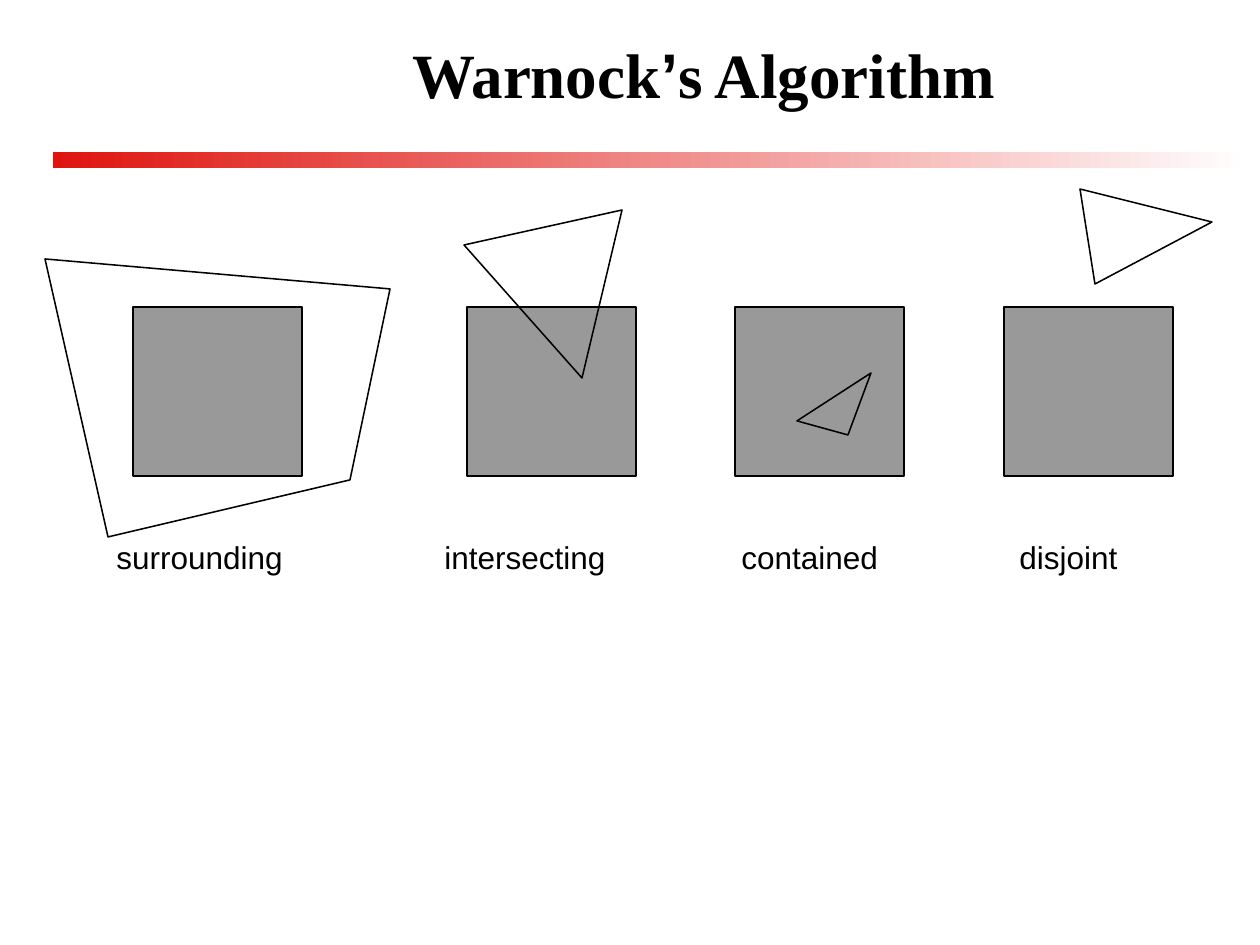
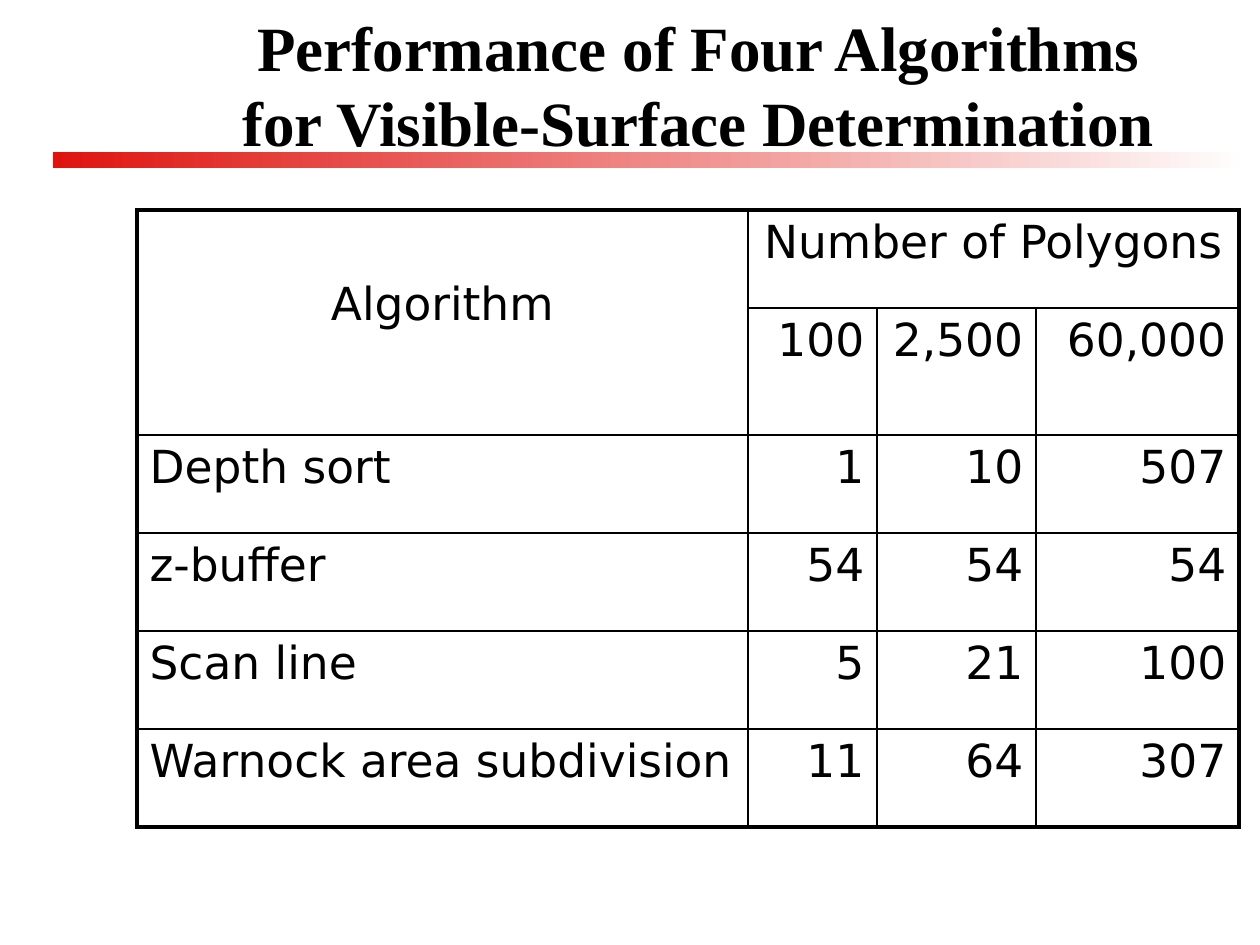
from pptx import Presentation
from pptx.dml.color import RGBColor
from pptx.enum.shapes import MSO_SHAPE as Shape
from pptx.enum.text import MSO_ANCHOR as Anchor, PP_ALIGN as Align
from pptx.oxml import parse_xml
from pptx.oxml.ns import nsdecls, qn
from pptx.util import Pt

EMU_PER_PX = 914400 / 126
BLACK = RGBColor(0x00, 0x00, 0x00)
WHITE = RGBColor(0xFF, 0xFF, 0xFF)
RED = RGBColor(0xDF, 0x14, 0x0F)
GREY = RGBColor(0x99, 0x99, 0x99)
LABEL_FORMAT = {"name": "Arial", "size": Pt(18)}
CELL_FORMAT = {"name": "DejaVu Sans", "size": Pt(26)}
THIN, THICK = Pt(1), Pt(2.25)


def px(*lengths):
    return [round(length * EMU_PER_PX) for length in lengths]


def apply_format(target, values):
    for attribute, value in values.items():
        setattr(target, attribute, value)


prs = Presentation()
prs.slide_width, prs.slide_height = px(1260, 945)

title_style = prs.slide_master.element.find(
    ".//" + qn("p:titleStyle") + "/" + qn("a:lvl1pPr") + "/" + qn("a:defRPr"))
title_style.set("sz", "3600")
title_style.set("b", "1")
title_style.find(qn("a:latin")).set("typeface", "Times New Roman")

layout = prs.slide_layouts[5]
for footer in list(layout.placeholders)[1:]:
    layout.shapes.element.remove(footer.element)

warnock = prs.slides.add_slide(layout)
performance = prs.slides.add_slide(layout)

for band_top in (152, 158):
    band = warnock.shapes.add_shape(Shape.RECTANGLE, *px(53, band_top, 1197, 10))
    band.shadow.inherit = False
    band.line.fill.background()
    band.fill.gradient()
    band.fill.gradient_angle = 0
    for stop, color in zip(band.fill.gradient_stops, (RED, WHITE)):
        stop.color.rgb = color
    layout.shapes.element.append(band.element)

titles = (
    (warnock, (147, 21, 1113, 105), "Warnock’s Algorithm"),
    (performance, (158, 0, 1081, 168),
     "Performance of Four Algorithms\vfor Visible-Surface Determination"),
)
for slide, box, wording in titles:
    title = slide.shapes.title
    apply_format(title, dict(zip(("left", "top", "width", "height"), px(*box))))
    apply_format(title.text_frame, {"vertical_anchor": Anchor.MIDDLE, "word_wrap": True})
    heading = title.text_frame.paragraphs[0]
    heading.alignment = Align.CENTER
    before, apostrophe, after = wording.partition("’")
    if apostrophe:
        for part in (before, apostrophe, after):
            run = heading.add_run()
            run.text = part
            if part == apostrophe:
                run.font.name = "Arial"
    else:
        heading.text = wording

cases = (
    ("surrounding", 133, (104, 242), ((45, 259), (108, 537), (350, 480), (390, 289))),
    ("intersecting", 467, (432, 238), ((464, 245), (622, 210), (582, 378))),
    ("contained", 735, (729, 200), ((871, 373), (848, 435), (797, 421))),
    ("disjoint", 1004, (1007, 159), ((1095, 284), (1212, 222), (1080, 189))),
)
for relation, area_left, (label_left, label_width), corners in cases:
    area = warnock.shapes.add_shape(Shape.RECTANGLE, *px(area_left, 307, 169, 169))
    area.fill.solid()
    area.fill.fore_color.rgb = GREY

    outline = warnock.shapes.build_freeform(*corners[0], scale=EMU_PER_PX)
    outline.add_line_segments(corners[1:], close=True)
    polygon = outline.convert_to_shape()
    polygon.fill.background()

    for figure in (area, polygon):
        figure.shadow.inherit = False
        figure.line.color.rgb = BLACK
        figure.line.width = Pt(0.88)

    label = warnock.shapes.add_textbox(*px(label_left, 532, label_width, 50)).text_frame
    label.word_wrap = True
    label.text = relation
    label_font = label.paragraphs[0].runs[0].font
    apply_format(label_font, LABEL_FORMAT)
    label_font.color.rgb = BLACK

timings = (
    ("Algorithm", "Number of Polygons", "", ""),
    ("", "100", "2,500", "60,000"),
    ("Depth sort", "1", "10", "507"),
    ("z-buffer", "54", "54", "54"),
    ("Scan line", "5", "21", "100"),
    ("Warnock area subdivision", "11", "64", "307"),
)
column_widths = (611, 129, 159, 203)
row_heights = (98, 127, 98, 98, 98, 98)
table = performance.shapes.add_table(
    len(timings), len(column_widths),
    *px(137, 210, sum(column_widths), sum(row_heights))).table
apply_format(table, {"first_row": False, "horz_banding": False})
for column, width in zip(table.columns, px(*column_widths)):
    column.width = width
for row, height in zip(table.rows, px(*row_heights)):
    row.height = height
table.cell(0, 0).merge(table.cell(1, 0))
table.cell(0, 1).merge(table.cell(0, 3))

for r, record in enumerate(timings):
    for c, entry in enumerate(record):
        cell = table.cell(r, c)
        right = c + (cell.span_width if cell.is_merge_origin else 1)
        bottom = r + (cell.span_height if cell.is_merge_origin else 1)
        outer_edges = {"lnL": c == 0, "lnR": right == len(record),
                       "lnT": r == 0, "lnB": bottom == len(timings)}
        for edge, is_outer in outer_edges.items():
            cell._tc.get_or_add_tcPr().append(parse_xml(
                f'<a:{edge} {nsdecls("a")} w="{THICK if is_outer else THIN}">'
                f'<a:solidFill><a:srgbClr val="{BLACK}"/></a:solidFill></a:{edge}>'))
        cell.fill.background()
        if entry:
            cell.text = entry
            line = cell.text_frame.paragraphs[0]
            line.alignment = Align.CENTER if r == 0 else Align.RIGHT if c else Align.LEFT
            apply_format(line.runs[0].font, CELL_FORMAT)
            line.runs[0].font.color.rgb = BLACK
table.cell(0, 0).margin_top = px(68)[0]

prs.save("out.pptx")
